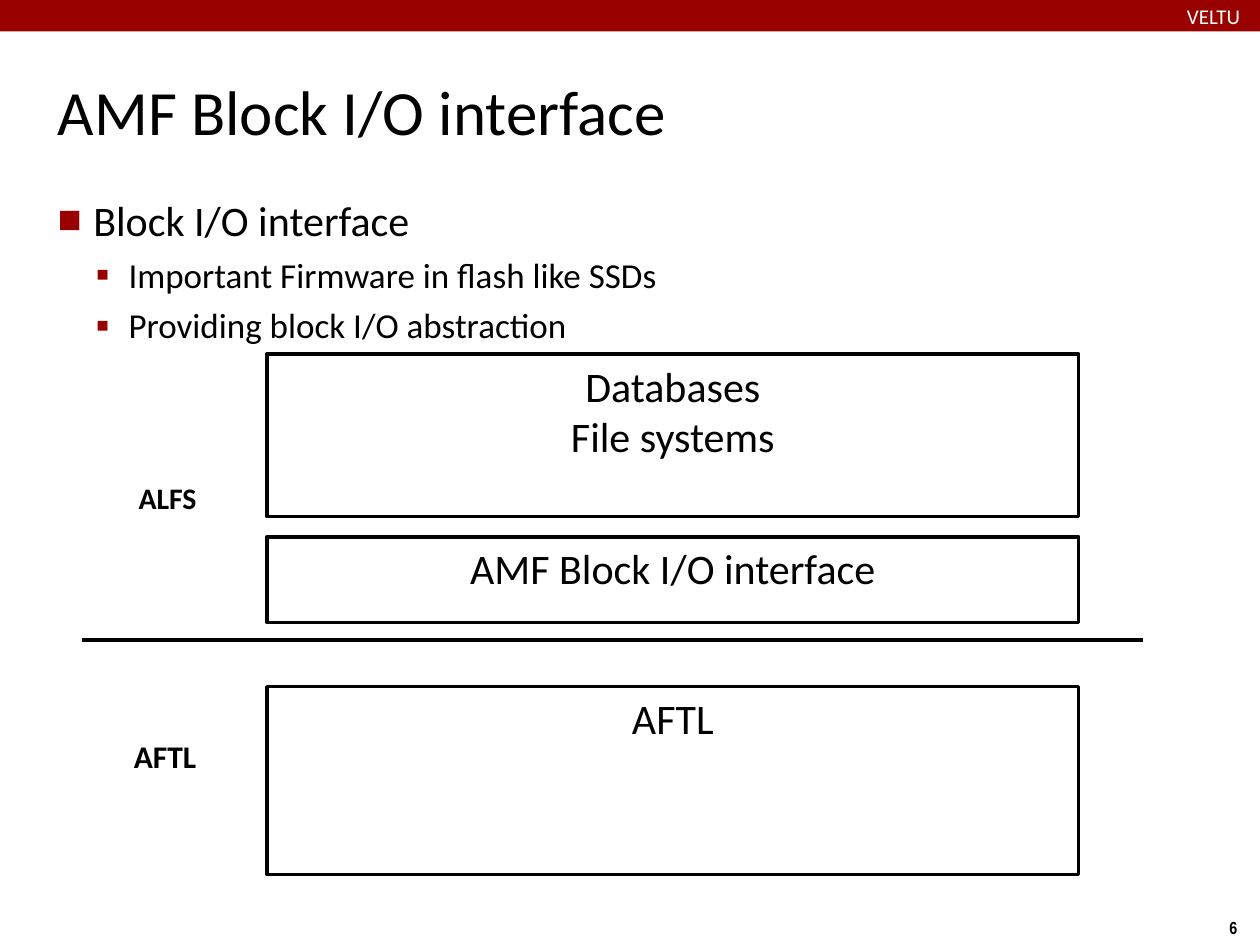
"""Build the slide on the AMF block I/O interface with its layer diagram."""
from dataclasses import dataclass

from lxml import etree
from pptx import Presentation
from pptx import util as u
from pptx.dml.color import RGBColor
from pptx.enum import shapes, text
from pptx.oxml import ns


@dataclass(frozen=True)
class Theme:
    accent: str = "990000"
    ink: str = "000000"
    paper: str = "FFFFFF"
    font: str = "Calibri"
    number_font: str = "Arial Narrow"
    title: int = 36
    large: int = 24
    item: int = 20
    label: int = 18
    small_label: int = 17
    header: int = 12
    number: int = 10
    line: int = 2


theme = Theme()


def set_text(shape, words, size, color=theme.ink, font=theme.font, bold=False,
             align=text.PP_ALIGN.LEFT, anchor=text.MSO_ANCHOR.TOP, inset=None):
    frame = shape.text_frame
    frame.text = words
    frame.word_wrap = True
    frame.auto_size = text.MSO_AUTO_SIZE.NONE
    frame.vertical_anchor = anchor
    if inset is not None:
        frame.margin_left = frame.margin_right = u.Inches(inset)
        frame.margin_top = frame.margin_bottom = u.Inches(inset)
    for paragraph in frame.paragraphs:
        paragraph.alignment = align
        for run in paragraph.runs:
            run.font.name = font
            run.font.size = u.Pt(size)
            run.font.bold = bold
            run.font.color.rgb = RGBColor.from_string(color)


def add_box(left, top, width, height, fill, line=None):
    box = slide.shapes.add_shape(
        shapes.MSO_SHAPE.RECTANGLE, u.Inches(left), u.Inches(top), u.Inches(width), u.Inches(height))
    box.shadow.inherit = False
    box.fill.solid()
    box.fill.fore_color.rgb = RGBColor.from_string(fill)
    if line:
        box.line.color.rgb = RGBColor.from_string(line)
        box.line.width = u.Pt(theme.line)
    else:
        box.line.fill.background()
    return box


presentation = Presentation()
presentation.slide_width, presentation.slide_height = u.Inches(10), u.Inches(7.5)
slide = presentation.slides.add_slide(presentation.slide_layouts[1])

add_box(0, 0, 10, 0.25, theme.accent)

title, body = slide.placeholders
for placeholder, top, height in ((title, 0.28, 1.19), (body, 1.5, 2.25)):
    placeholder.left, placeholder.top = u.Inches(0.42), u.Inches(top)
    placeholder.width, placeholder.height = u.Inches(9.17), u.Inches(height)
set_text(title, "AMF Block I/O interface", theme.title, anchor=text.MSO_ANCHOR.MIDDLE, inset=0.04)

items = (
    ("Block I/O interface", 0),
    ("Important Firmware in flash like SSDs", 1),
    ("Providing block I/O abstraction", 1),
)
bullet_styles = (
    (theme.large, 6, 0.28, 0.28, "■", 60),
    (theme.item, 5, 0.56, 0.26, "▪", 110),
)
set_text(body, "\n".join(words for words, level in items), theme.large, inset=0.04)
for paragraph, (words, level) in zip(body.text_frame.paragraphs, items):
    size, space, margin, hanging, mark, percent = bullet_styles[level]
    paragraph.level = level
    paragraph.space_before = u.Pt(space)
    paragraph.runs[0].font.size = u.Pt(size)
    properties = paragraph._p.get_or_add_pPr()
    properties.set("marL", str(u.Inches(margin)))
    properties.set("indent", str(-u.Inches(hanging)))
    bullet_color = etree.SubElement(properties, ns.qn("a:buClr"))
    etree.SubElement(bullet_color, ns.qn("a:srgbClr"), val=theme.accent)
    etree.SubElement(properties, ns.qn("a:buSzPct"), val=str(percent * 1000))
    etree.SubElement(properties, ns.qn("a:buFont"), typeface=theme.font)
    etree.SubElement(properties, ns.qn("a:buChar"), char=mark)

header = slide.shapes.add_textbox(u.Inches(9.42), u.Inches(0.03), u.Inches(0.55), u.Inches(0.19))
set_text(header, "VELTU", theme.header, theme.paper, inset=0)

number = slide.shapes.add_textbox(u.Inches(9.66), u.Inches(7.23), u.Inches(0.34), u.Inches(0.27))
set_text(number, "6", theme.number, font=theme.number_font, bold=True)

divider = slide.shapes.add_connector(
    shapes.MSO_CONNECTOR.STRAIGHT, u.Inches(0.65), u.Inches(5.08), u.Inches(9.07), u.Inches(5.08))
divider.line.color.rgb = RGBColor.from_string(theme.ink)
divider.line.width = u.Pt(theme.line)
etree.SubElement(divider._element.spPr, ns.qn("a:effectLst"))

for words, top, height in (
    ("Databases\nFile systems", 2.81, 1.29),
    ("AMF Block I/O interface", 4.26, 0.68),
    ("AFTL", 5.45, 1.49),
):
    layer = add_box(2.12, top, 6.44, height, theme.paper, theme.ink)
    set_text(layer, words, theme.large, align=text.PP_ALIGN.CENTER)

for words, left, top, size in (
    ("ALFS", 0.65, 3.41, theme.small_label),
    ("AFTL", 0.63, 5.45, theme.label),
):
    label = add_box(left, top, 1.36, 1.29, theme.paper, theme.paper)
    set_text(label, words, size, bold=True, align=text.PP_ALIGN.CENTER)
    label.text_frame.margin_top = u.Inches(0.4)

presentation.save("out.pptx")
